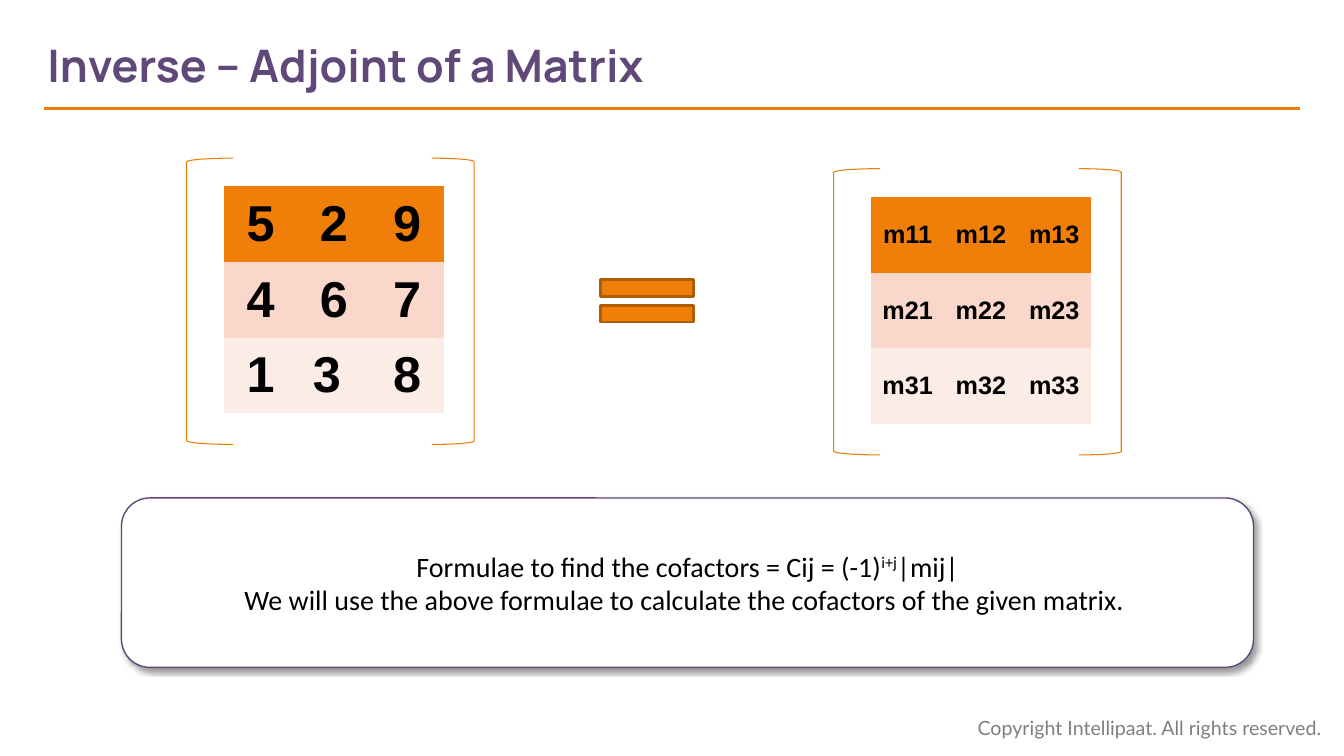
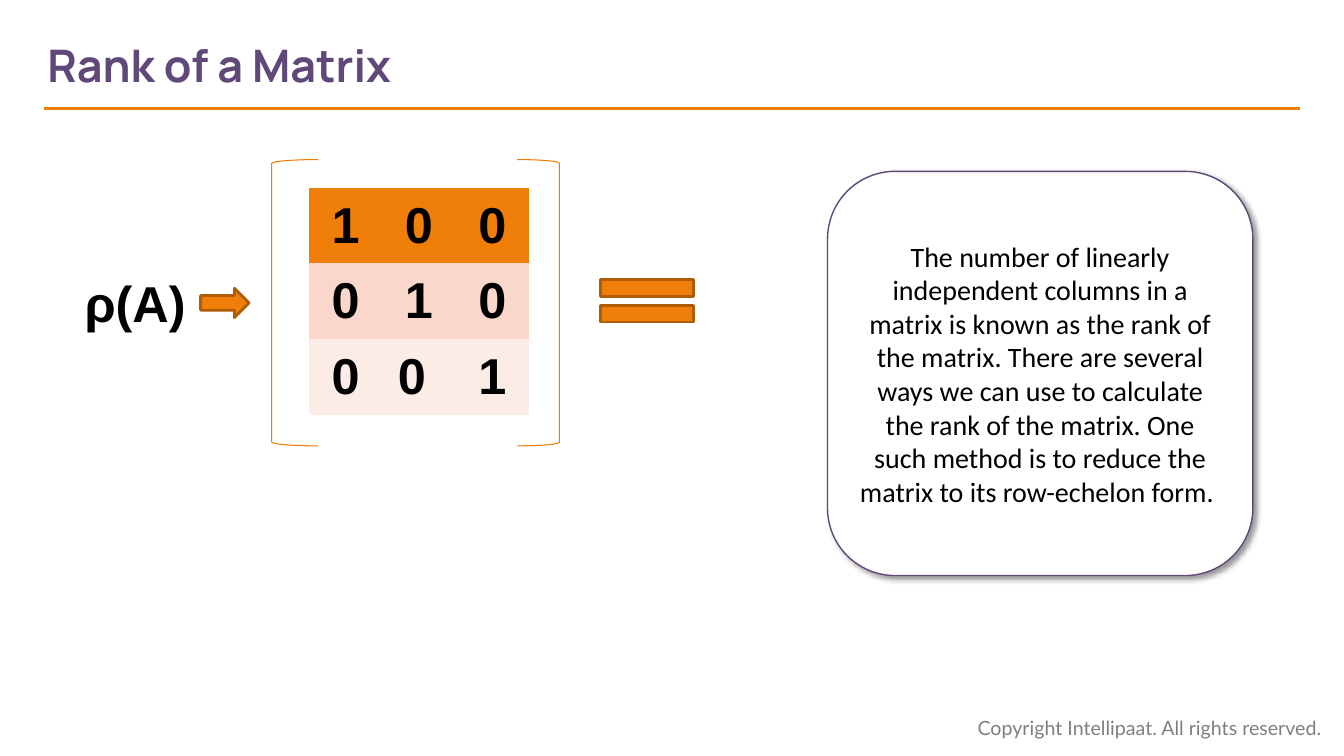
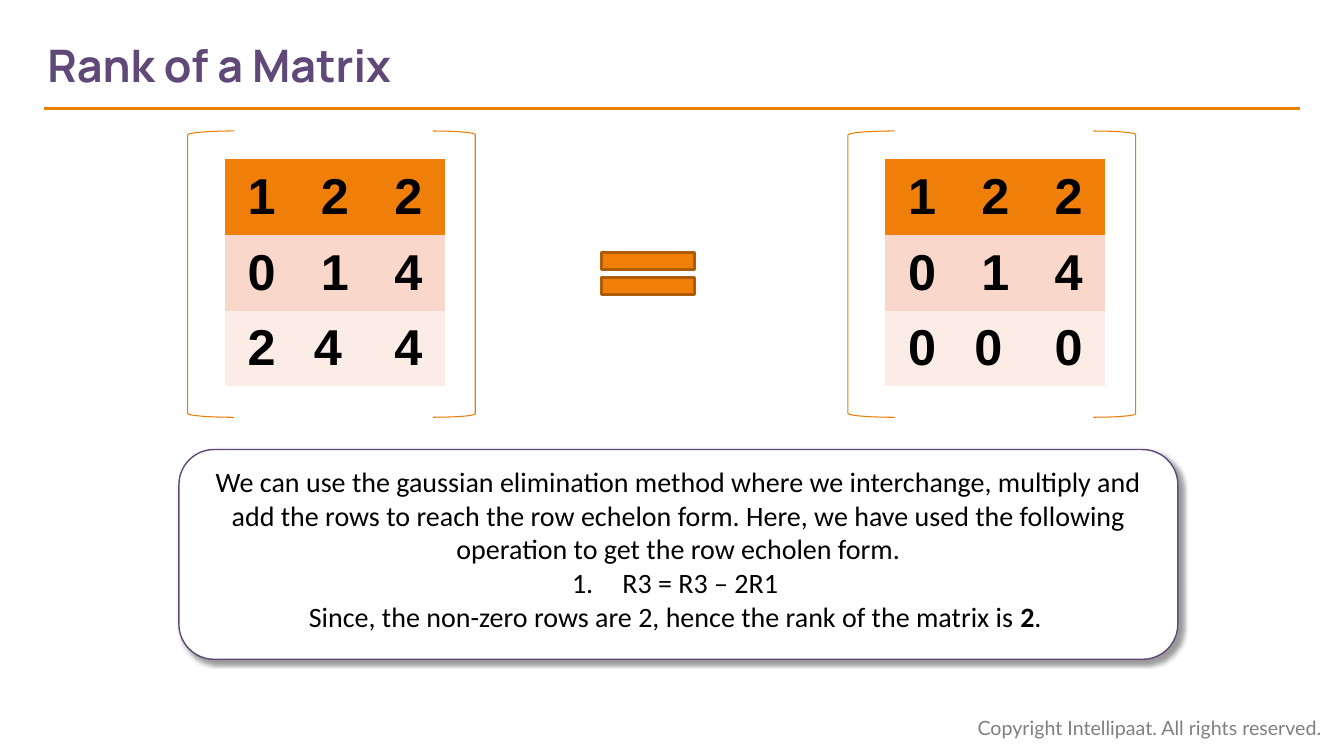
from lxml import etree
from pptx import Presentation
from pptx.dml.color import RGBColor
from pptx.enum.shapes import MSO_CONNECTOR, MSO_SHAPE
from pptx.enum.text import MSO_ANCHOR, PP_ALIGN
from pptx.oxml.ns import qn
from pptx.util import Pt

LEFT, CENTER = PP_ALIGN.LEFT, PP_ALIGN.CENTER
TOP, MIDDLE = MSO_ANCHOR.TOP, MSO_ANCHOR.MIDDLE
STRAIGHT = MSO_CONNECTOR.STRAIGHT
LEFT_BRACKET, RIGHT_BRACKET = MSO_SHAPE.LEFT_BRACKET, MSO_SHAPE.RIGHT_BRACKET
EQUAL, ARROW = MSO_SHAPE.MATH_EQUAL, MSO_SHAPE.RIGHT_ARROW
ROUNDED = MSO_SHAPE.ROUNDED_RECTANGLE

COLORS = {
    "purple": "604878", "orange": "F07F09", "bracket": "EF7C02",
    "edge": "AF5C06", "rose": "F9D7CA", "blush": "FCECE6",
    "white": "FFFFFF", "black": "000000", "gray": "7F7F7F",
}
ROW_FILLS = ("orange", "rose", "blush")
PLAIN_TABLE = "{2D5ABB26-0587-4C30-8999-92F81FD0307C}"
COPYRIGHT = "Copyright Intellipaat. All rights reserved."
COLUMN_WIDTH, ROW_HEIGHT = 52.4, 54


def rgb(name):
    return RGBColor.from_string(COLORS[name])


def box(left, top, width, height):
    return Pt(left), Pt(top), Pt(width), Pt(height)


def add_run(paragraph, text, font, size, color="black", bold=False, raised=False):
    run = paragraph.add_run()
    run.text = text
    run.font.name, run.font.size, run.font.bold = font, Pt(size), bold
    run.font.color.rgb = rgb(color)
    if raised:
        run.font._element.set("baseline", "30000")


def number(paragraph):
    """Number a paragraph with a hanging indent."""
    properties = paragraph._p.get_or_add_pPr()
    properties.set("marL", str(Pt(36)))
    properties.set("indent", str(Pt(-36)))
    etree.SubElement(properties, qn("a:buAutoNum"), type="arabicPeriod")


def add_preset(slide, kind, place, fill, line, width, adjustments):
    shape = slide.shapes.add_shape(kind, *box(*place))
    shape.shadow.inherit = False
    if fill:
        shape.fill.solid()
        shape.fill.fore_color.rgb = rgb(fill)
    else:
        shape.fill.background()
    shape.line.color.rgb = rgb(line)
    shape.line.width = Pt(width)
    for index, value in enumerate(adjustments):
        shape.adjustments[index] = value
    return shape


def add_label(slide, place, text, **style):
    frame = slide.shapes.add_textbox(*box(*place)).text_frame
    frame.word_wrap = True
    add_run(frame.paragraphs[0], text, **style)


def add_titled_slide(deck, heading):
    """Start a slide with the shared title, rule and copyright line."""
    slide = deck.slides.add_slide(deck.slide_layouts[5])
    title = slide.shapes.title
    title.left, title.top, title.width, title.height = box(33.8, 15.8, 682, 60.5)
    frame = title.text_frame
    frame.margin_left, frame.vertical_anchor = 0, MIDDLE
    frame.paragraphs[0].alignment = LEFT
    add_run(frame.paragraphs[0], heading, "Manrope", 32, "purple", bold=True)

    rule = slide.shapes.add_connector(STRAIGHT, Pt(31.7), Pt(77.5), Pt(928.8), Pt(77.5))
    rule.line.color.rgb = rgb("orange")
    rule.line.width = Pt(2.25)
    etree.SubElement(rule._element.spPr, qn("a:effectLst"))
    add_label(slide, (691.2, 507.6, 264.2, 24.5), COPYRIGHT,
              font="Lato", size=14, color="gray")
    return slide


def add_matrix(slide, left, top, rows, size=36):
    """Draw a table between brackets; left and top are those of the brackets."""
    for kind, offset, width in ((LEFT_BRACKET, 0, 33.3), (RIGHT_BRACKET, 175.3, 30.2)):
        add_preset(slide, kind, (left + offset, top, width, 204.5),
                   None, "bracket", 0.75, [0.083])

    place = box(left + 26.7, top + 20.2,
                COLUMN_WIDTH * len(rows[0]), ROW_HEIGHT * len(rows))
    table = slide.shapes.add_table(len(rows), len(rows[0]), *place).table
    table._tbl.tblPr.find(qn("a:tableStyleId")).text = PLAIN_TABLE
    for row_index, (entries, fill) in enumerate(zip(rows, ROW_FILLS)):
        for column_index, entry in enumerate(entries):
            cell = table.cell(row_index, column_index)
            cell.fill.solid()
            cell.fill.fore_color.rgb = rgb(fill)
            cell.vertical_anchor = MIDDLE
            paragraph = cell.text_frame.paragraphs[0]
            paragraph.alignment = CENTER
            add_run(paragraph, entry, "Arial", size, bold=True)


def add_equals(slide, left, top):
    add_preset(slide, EQUAL, (left, top, 90.7, 51.1), "orange", "edge", 2, [0.235, 0.118])


def add_card(slide, place, paragraphs, anchor=MIDDLE, numbered=()):
    """Draw a shadowed card; each paragraph is a list of (text, style) runs."""
    card = add_preset(slide, ROUNDED, place, "white", "purple", 1, [0.167])
    effects = card._element.spPr.find(qn("a:effectLst"))
    shadow = etree.SubElement(effects, qn("a:outerShdw"), blurRad=str(Pt(4)),
                              dist=str(Pt(3)), dir="2700000", algn="tl", rotWithShape="0")
    tint = etree.SubElement(shadow, qn("a:srgbClr"), val=COLORS["black"])
    etree.SubElement(tint, qn("a:alpha"), val="40000")

    frame = card.text_frame
    frame.word_wrap, frame.vertical_anchor = True, anchor
    for index, runs in enumerate(paragraphs):
        paragraph = frame.add_paragraph() if index else frame.paragraphs[0]
        paragraph.alignment = CENTER
        if index in numbered:
            number(paragraph)
        for text, style in runs:
            add_run(paragraph, text, "Calibri", 20, **style)


def build_adjoint(deck):
    slide = add_titled_slide(deck, "Inverse – Adjoint of a Matrix")
    add_matrix(slide, 133.2, 113, [("5", "2", "9"), ("4", "6", "7"), ("1", "3 ", "8")])
    add_equals(slide, 416.9, 189.4)
    minors = [("m11", "m12", "m13"), ("m21", "m22", "m23"), ("m31", "m32 ", "m33")]
    add_matrix(slide, 595.4, 120.5, minors, size=18)
    add_card(slide, (86.8, 355.7, 808.6, 121), [
        [("Formulae to find the cofactors = Cij = (-1)", {}),
         ("i+j", {"raised": True}), ("|mij|", {})],
        [("We will use the above formulae to calculate the cofactors "
          "of the given matrix. ", {})],
    ])


def build_rank_definition(deck):
    slide = add_titled_slide(deck, "Rank of a Matrix")
    add_matrix(slide, 194, 114, [("1", "0", "0"), ("0", "1", "0"), ("0", "0 ", "1")])
    add_card(slide, (591.1, 122.4, 303.8, 288.7), [
        [("The number of linearly independent columns in a matrix is known as the "
          "rank of the matrix. There are several ways we can use to calculate the "
          "rank of the matrix. One such method is to reduce the matrix to its "
          "row-echelon form. ", {})],
    ])
    add_equals(slide, 416.9, 189.4)
    add_label(slide, (53.3, 190.8, 95, 51.1), "ρ(A)", font="Arial", size=36, bold=True)
    add_preset(slide, ARROW, (143.3, 205.9, 34.6, 20.9), "orange", "edge", 2, [0.5, 0.5])


def build_rank_example(deck):
    slide = add_titled_slide(deck, "Rank of a Matrix")
    top_rows = [("1", "2", "2"), ("0", "1", "4")]
    add_matrix(slide, 134, 93.6, top_rows + [("2", "4 ", "4")])
    add_equals(slide, 417.6, 169.9)
    add_card(slide, (127.8, 321.1, 713.5, 149.8), [
        [("We can use the gaussian elimination method where we interchange, multiply "
          "and add the rows to reach the row echelon form. Here, we have used the "
          "following operation to get the row echolen form.", {})],
        [("R3 = R3 – 2R1 ", {})],
        [("Since, the non-zero rows are 2, hence the rank of the matrix is ", {}),
         ("2", {"bold": True}), (". ", {})],
    ], anchor=TOP, numbered=(1,))
    add_matrix(slide, 605.7, 93.6, top_rows + [("0", "0 ", "0")])


def main():
    deck = Presentation()
    deck.slide_width, deck.slide_height = Pt(960), Pt(540)
    build_adjoint(deck)
    build_rank_definition(deck)
    build_rank_example(deck)
    deck.save("out.pptx")


if __name__ == "__main__":
    main()
